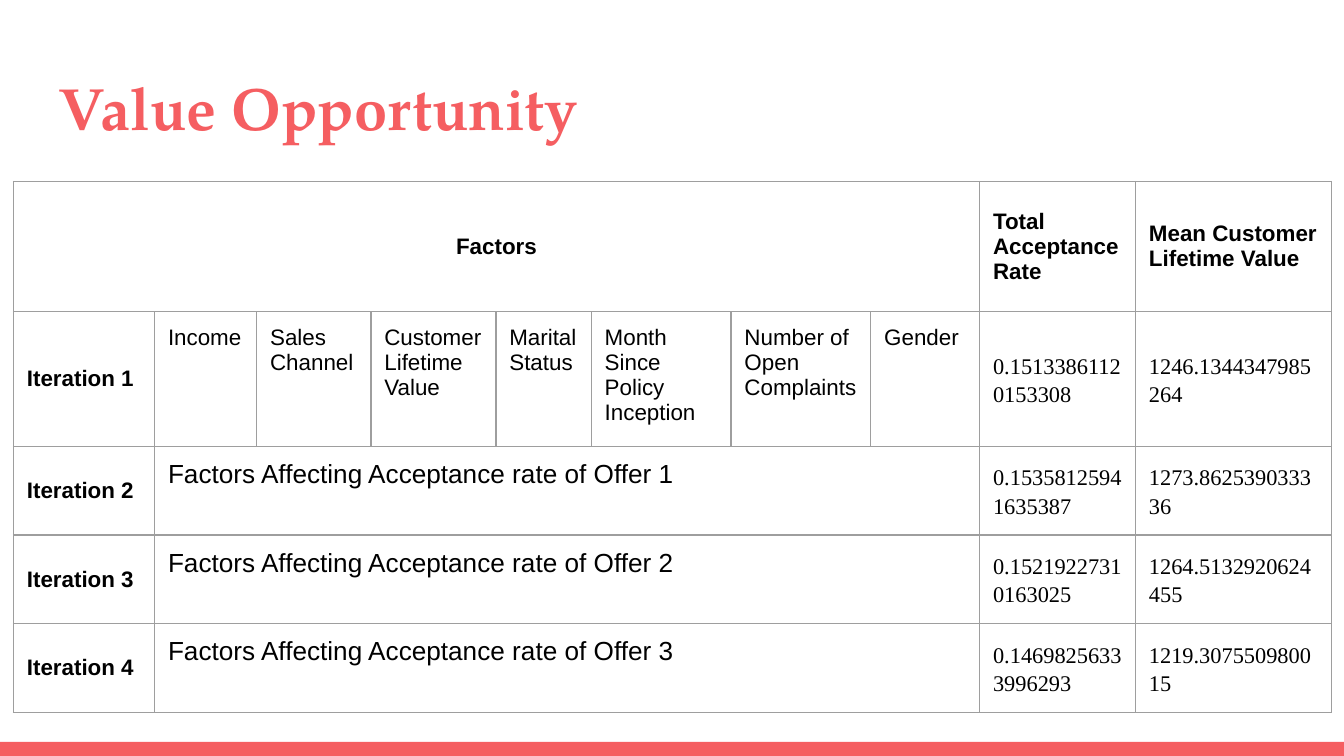
import pptx
import pptx.dml.color
import pptx.enum.shapes
import pptx.enum.text
import pptx.oxml
import pptx.oxml.ns
import pptx.util

Inches = pptx.util.Inches
ANCHOR = pptx.enum.text.MSO_ANCHOR
ALIGN = pptx.enum.text.PP_ALIGN


def color(value):
    return pptx.dml.color.RGBColor.from_string(value)


class SlideStyle:
    accent, ink, grid = "F55E61", "000000", "9E9E9E"
    title_font, body_font, number_font = "TeX Gyre Pagella", "Arial", "Times New Roman"
    inset = Inches(0.1)

    def __init__(self, s):
        self.s = s

    def bar(self, x, y, w, h):
        sp = self.s.shapes.add_shape(pptx.enum.shapes.MSO_SHAPE.RECTANGLE,
                                     Inches(x), Inches(y), Inches(w), Inches(h))
        sp.shadow.inherit = False
        sp.fill.solid()
        sp.fill.fore_color.rgb = color(self.accent)
        sp.line.fill.background()

    def run(self, p, text, size, font, ink, bold):
        r = p.add_run()
        r.text = text
        r.font.size = pptx.util.Pt(size)
        r.font.name = font
        r.font.bold = bold
        r.font.color.rgb = color(ink)

    def margins(self, box):
        box.margin_left = box.margin_right = self.inset
        box.margin_top = box.margin_bottom = self.inset

    def title(self, text, x, y, w, h):
        sp = self.s.shapes.add_textbox(Inches(x), Inches(y), Inches(w), Inches(h))
        tf = sp.text_frame
        tf.word_wrap = True
        self.margins(tf)
        self.run(tf.paragraphs[0], text, 32, self.title_font, self.accent, True)

    def table(self, x, y, widths, heights):
        tbl = self.s.shapes.add_table(len(heights), len(widths), Inches(x), Inches(y),
                                      Inches(sum(widths)), Inches(sum(heights))).table
        tbl.first_row = tbl.horz_banding = False
        for column, width in zip(tbl.columns, widths):
            column.width = Inches(width)
        for row, height in zip(tbl.rows, heights):
            row.height = Inches(height)
            for cell in row.cells:
                self.margins(cell)
                self.borders(cell)
                cell.fill.background()
        return tbl

    def borders(self, cell):
        tc_pr = cell._tc.get_or_add_tcPr()
        for side in ("lnL", "lnR", "lnT", "lnB"):
            tc_pr.append(pptx.oxml.parse_xml(
                f'<a:{side} {pptx.oxml.ns.nsdecls("a")} w="9525"><a:solidFill>'
                f'<a:srgbClr val="{self.grid}"/></a:solidFill></a:{side}>'))

    def cell(self, cell, text, size=12, font=body_font, bold=False,
             anchor=ANCHOR.MIDDLE, align=ALIGN.LEFT, spacing=1.0):
        cell.vertical_anchor = anchor
        p = cell.text_frame.paragraphs[0]
        p.alignment = align
        p.line_spacing = spacing
        self.run(p, text, size, font, self.ink, bold)


# Widescreen slide, 16:9
prs = pptx.Presentation()
prs.slide_width, prs.slide_height = Inches(10), Inches(10 * 9 / 16)
style = SlideStyle(prs.slides.add_slide(prs.slide_layouts[6]))

# Footer bar and title
style.bar(0, 5.52, 10, 0.11)
style.title("Value Opportunity", 0.34, 0.43, 9.32, 0.68)

# Table content
factors = ["Income", "Sales Channel", "Customer Lifetime Value", "Marital Status",
           "Month Since Policy Inception", "Number of Open Complaints", "Gender"]
results = [("0.15133861120153308", "1246.1344347985264"),
           ("0.15358125941635387", "1273.862539033336"),
           ("0.15219227310163025", "1264.5132920624455"),
           ("0.14698256333996293", "1219.307550980015")]
widths = [1.05, 0.76, 0.85, 0.93, 0.71, 1.04, 1.04, 0.81, 1.16, 1.46]
rate_col = len(factors) + 1
# Iteration rows grow to fit their text
tbl = style.table(0.1, 1.35, widths, [0.97] + [0.49] * len(results))

# Header row
tbl.cell(0, 0).merge(tbl.cell(0, rate_col - 1))
style.cell(tbl.cell(0, 0), "Factors", bold=True, align=ALIGN.CENTER)
for col, text in enumerate(["Total Acceptance Rate", "Mean Customer Lifetime Value"], rate_col):
    style.cell(tbl.cell(0, col), text, bold=True)

# Iteration rows: the first lists every factor, the others describe an offer
for i, values in enumerate(results, 1):
    style.cell(tbl.cell(i, 0), f"Iteration {i}", bold=True)
    if i == 1:
        for col, factor in enumerate(factors, 1):
            style.cell(tbl.cell(i, col), factor, anchor=ANCHOR.TOP)
    else:
        tbl.cell(i, 1).merge(tbl.cell(i, rate_col - 1))
        style.cell(tbl.cell(i, 1), f"Factors Affecting Acceptance rate of Offer {i - 1}",
                   size=14, anchor=ANCHOR.TOP)
    for col, value in enumerate(values, rate_col):
        style.cell(tbl.cell(i, col), value, font=style.number_font, spacing=1.15)

prs.save("out.pptx")
